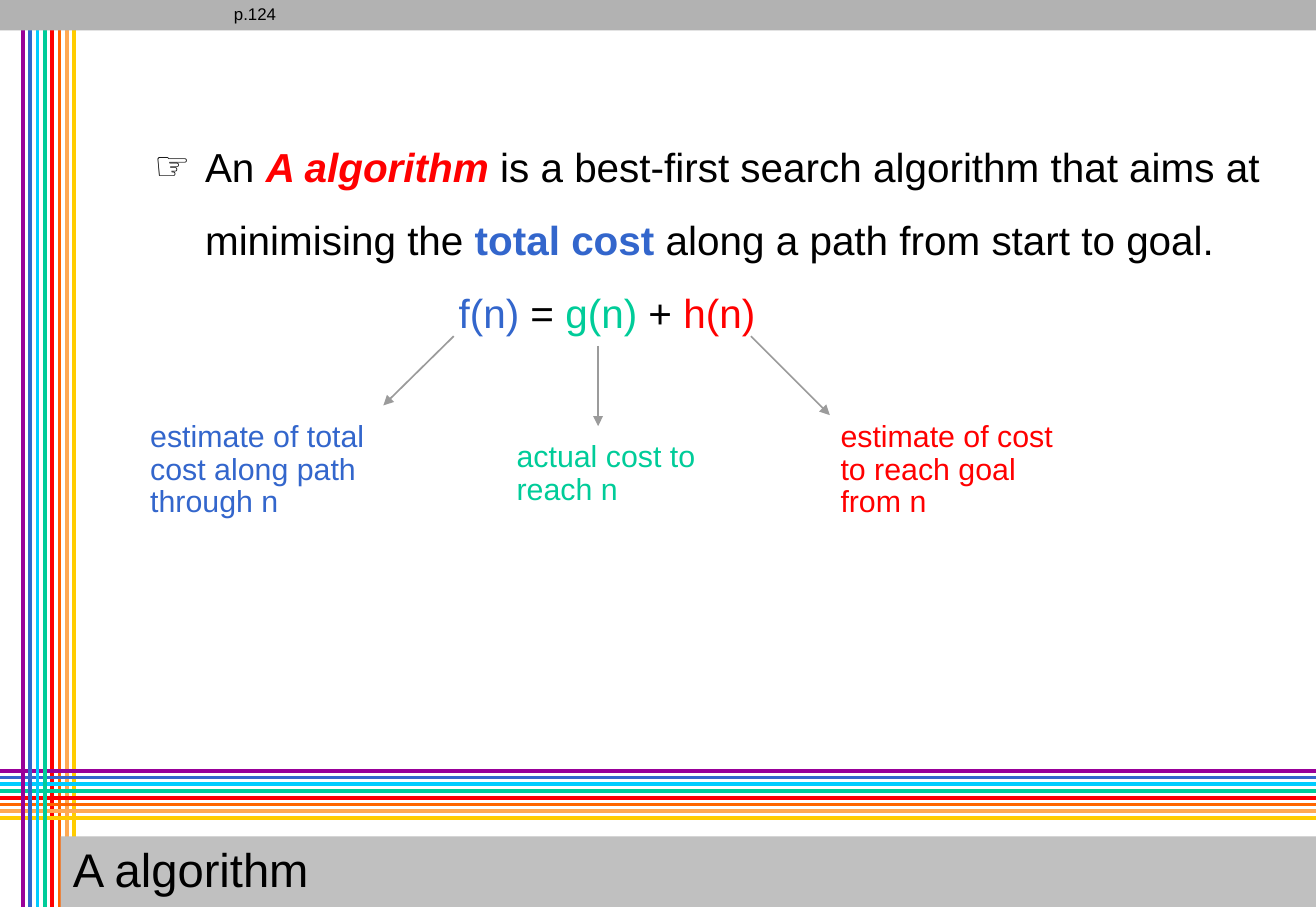
from pptx import Presentation
from pptx.dml.color import RGBColor
from pptx.enum.shapes import MSO_CONNECTOR, MSO_SHAPE
from pptx.enum.text import MSO_ANCHOR, MSO_AUTO_SIZE, PP_ALIGN
from pptx.oxml.ns import qn
from pptx.util import Inches, Pt
from lxml.etree import SubElement

SIZE = Pt(781), Pt(538)
WIDE, HIGH = (side.inches for side in SIZE)
BLACK = RGBColor(0x00, 0x00, 0x00)
BLUE = RGBColor(0x33, 0x66, 0xCC)
GREEN = RGBColor(0x00, 0xCC, 0x99)
RED = RGBColor(0xFF, 0x00, 0x00)
BAR = RGBColor(0xB2, 0xB2, 0xB2)
BAND = RGBColor(0xC0, 0xC0, 0xC0)
ARROW = RGBColor(0x9B, 0x9B, 0x9B)
RAINBOW = [RGBColor(0x99, 0x00, 0x99), BLUE, RGBColor(0x00, 0xCC, 0xFF), GREEN,
           RED, RGBColor(0xFF, 0x66, 0x00), RGBColor(0xFF, 0xA9, 0x53),
           RGBColor(0xFF, 0xCC, 0x00)]

TITLE = "A algorithm"
PAGE = "p.124"
# text, colour, bold, italic
CLAIM = [
    ("An ", BLACK, False, False),
    ("A algorithm", RED, True, True),
    (" is a best-first search algorithm that aims at minimising the ", BLACK, False, False),
    ("total cost", BLUE, True, False),
    (" along a path from start to goal.", BLACK, False, False),
]
FORMULA = [
    ("f(n)", BLUE, False, False),
    (" = ", BLACK, False, False),
    ("g(n)", GREEN, False, False),
    (" + ", BLACK, False, False),
    ("h(n)", RED, False, False),
]
# text, colour, label box, arrow start, arrow end
TERMS = [
    ("estimate of total cost along path through n", BLUE,
     (1.14, 3.42, 2.36, 0.91), (3.74, 2.77), (3.16, 3.34)),
    ("estimate of cost to reach goal from n", RED,
     (6.83, 3.42, 2.03, 0.91), (6.19, 2.77), (6.84, 3.42)),
    ("actual cost to reach n", GREEN,
     (4.16, 3.59, 2.36, 0.64), (4.93, 2.85), (4.93, 3.51)),
]


def place(shape, *box):
    shape.left, shape.top, shape.width, shape.height = map(Inches, box)


def add_line(slide, start, end, color, width):
    line = slide.shapes.add_connector(
        MSO_CONNECTOR.STRAIGHT, *map(Inches, (*start, *end)))
    line.line.color.rgb = color
    line.line.width = Pt(width)
    SubElement(line.element.spPr, qn("a:effectLst"))
    return line


def add_columns(slide, first, last):
    for i in range(first, last):
        x = 0.19 + 0.06 * i
        add_line(slide, (x, 0), (x, HIGH), RAINBOW[i], 2.25)


def add_rows(slide):
    step = (6.74 - 6.35) / (len(RAINBOW) - 1)
    for i, color in enumerate(RAINBOW):
        y = 6.35 + step * i
        add_line(slide, (WIDE, y), (0, y), color, 2.25)


def style(para, size, color, space=0.9):
    para.font.name = "Arial"
    para.font.size = Pt(size)
    para.font.color.rgb = color
    para.line_spacing = space
    para.space_before = Pt(0)
    para.alignment = PP_ALIGN.LEFT


def add_label(slide, text, color, box, size=18, wrap=True):
    frame = slide.shapes.add_textbox(*map(Inches, box)).text_frame
    frame.word_wrap = wrap
    frame.text = text
    style(frame.paragraphs[0], size, color)


def set_bullet(para, char):
    props = para._p.get_or_add_pPr()
    tag = qn("a:buChar" if char else "a:buNone")
    bullet = props.makeelement(tag, {"char": char} if char else {})
    props.find(qn("a:defRPr")).addprevious(bullet)


def fill_body(body):
    place(body, 1.17, 0.92, 9.42, 4.59)
    frame = body.text_frame
    frame.auto_size = MSO_AUTO_SIZE.NONE
    frame.vertical_anchor = MSO_ANCHOR.TOP
    claim, formula = frame.paragraphs[0], frame.add_paragraph()
    formula.level = 1
    rows = (claim, CLAIM, 0.42, "☞"), (formula, FORMULA, 2.93, None)
    for para, parts, margin, char in rows:
        style(para, 24, BLACK, 1.5)
        for text, color, bold, italic in parts:
            run = para.add_run()
            run.text = text
            run.font.color.rgb = color
            run.font.bold, run.font.italic = bold, italic
        props = para._p.get_or_add_pPr()
        props.set("marL", str(Inches(margin)))
        props.set("indent", str(-Inches(0.42)))
        set_bullet(para, char)
    claim.space_before = Pt(30)


def fill_title(title):
    place(title, 0.5, 6.89, WIDE - 0.5, 0.59)
    title.fill.solid()
    title.fill.fore_color.rgb = BAND
    frame = title.text_frame
    frame.auto_size = MSO_AUTO_SIZE.NONE
    frame.vertical_anchor = MSO_ANCHOR.MIDDLE
    frame.text = TITLE
    style(frame.paragraphs[0], 28, BLACK)


def main():
    deck = Presentation()
    deck.slide_width, deck.slide_height = SIZE
    slide = deck.slides.add_slide(deck.slide_layouts[1])
    title, body = slide.shapes.title, slide.placeholders[1]

    add_columns(slide, 4, 8)
    add_rows(slide)
    add_columns(slide, 0, 4)
    bar = slide.shapes.add_shape(
        MSO_SHAPE.RECTANGLE, 0, 0, Inches(WIDE), Inches(0.25))
    bar.shadow.inherit = False
    bar.fill.solid()
    bar.fill.fore_color.rgb = BAR
    bar.line.fill.background()

    fill_title(title)
    fill_body(body)
    # The title band and the body lie above the stripes
    tree = title.element.getparent()
    tree.append(title.element)
    tree.append(body.element)

    for text, color, box, start, end in TERMS:
        add_label(slide, text, color, box)
        arrow = add_line(slide, start, end, ARROW, 1)
        outline = arrow.element.spPr.find(qn("a:ln"))
        SubElement(outline, qn("a:tailEnd"), type="triangle")
    add_label(slide, PAGE, BLACK, (1.83, 0, 0.75, 0.25), 10, False)
    deck.save("out.pptx")


if __name__ == "__main__":
    main()
